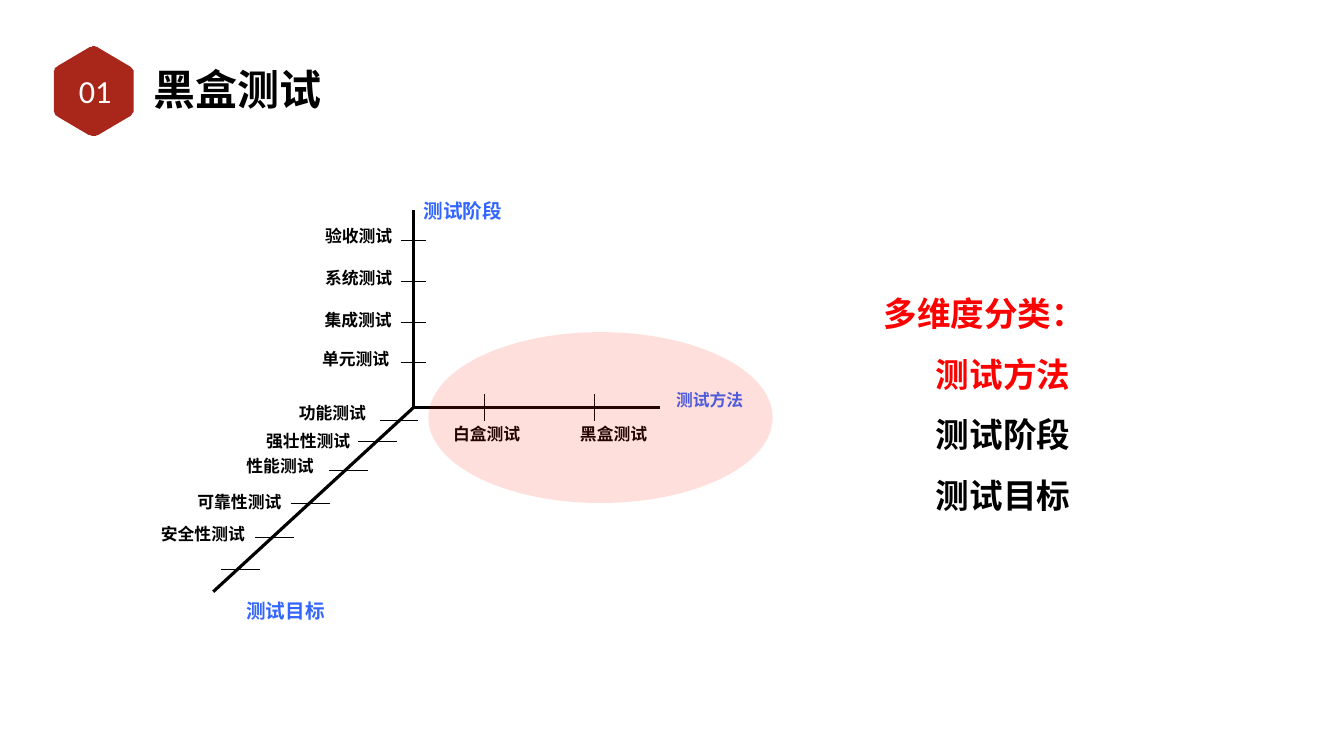
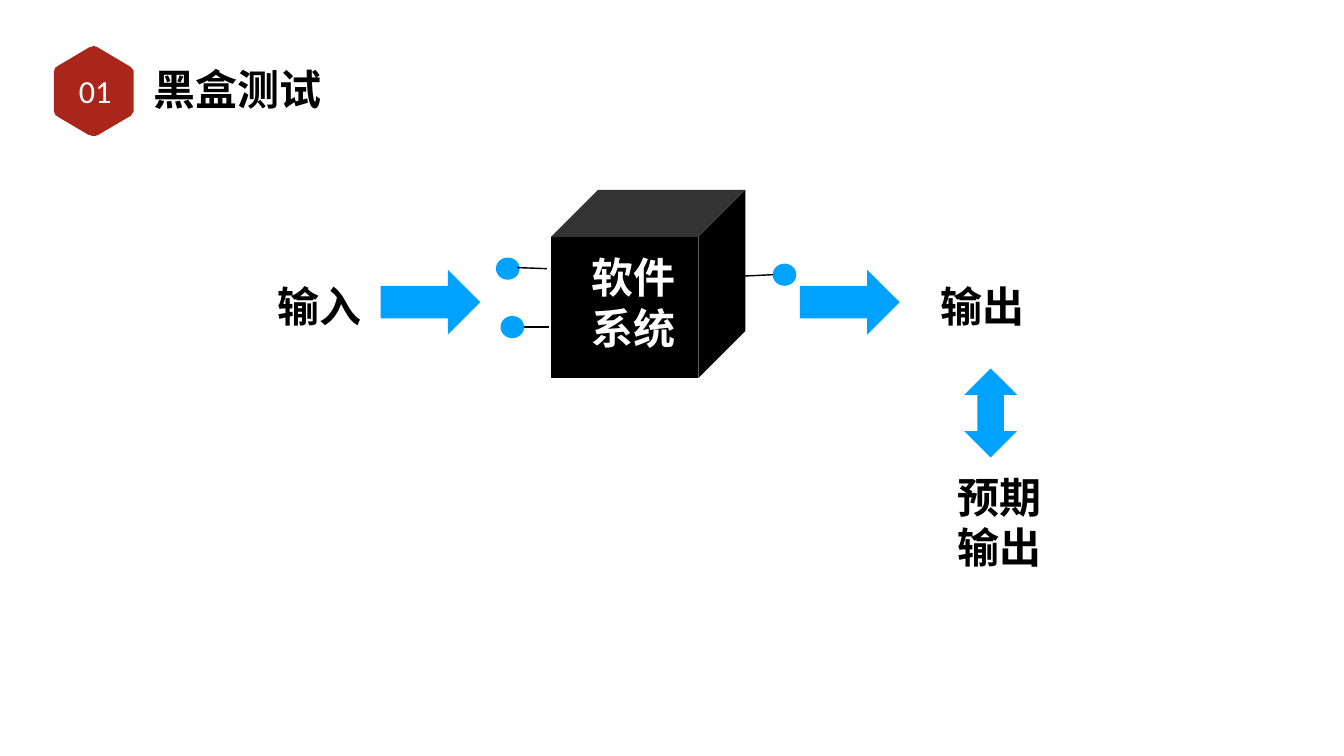
"""Build two slides on black-box testing: its place among test types, and its principle."""
import math

from lxml import etree
from pptx import Presentation
from pptx.dml.color import RGBColor
from pptx.enum.shapes import MSO_CONNECTOR, MSO_SHAPE
from pptx.enum.text import MSO_ANCHOR, MSO_AUTO_SIZE, PP_ALIGN
from pptx.oxml.ns import qn
from pptx.util import Pt

LEFT, CENTER, RIGHT = PP_ALIGN.LEFT, PP_ALIGN.CENTER, PP_ALIGN.RIGHT
TOP, MIDDLE = MSO_ANCHOR.TOP, MSO_ANCHOR.MIDDLE
STRAIGHT = MSO_CONNECTOR.STRAIGHT
FIT_TEXT, NO_FIT = MSO_AUTO_SIZE.SHAPE_TO_FIT_TEXT, MSO_AUTO_SIZE.NONE
OVAL, CUBE = MSO_SHAPE.OVAL, MSO_SHAPE.CUBE
RIGHT_ARROW, UP_DOWN_ARROW = MSO_SHAPE.RIGHT_ARROW, MSO_SHAPE.UP_DOWN_ARROW

CJK_FONT, NUMBER_FONT = "Noto Sans CJK SC", "Calibri"
BLACK, WHITE, RED = "000000", "FFFFFF", "FF0000"
BADGE_RED, AXIS_BLUE, FLOW_BLUE, HIGHLIGHT = "A8271A", "3366FF", "00A2FF", "FA1F00"
DEFAULT_INSETS = (7.2, 3.6)

SECTION, TITLE = "01", "黑盒测试"
BADGE_CENTER, BADGE_RADIUS, CORNER_CUT = (133.9, 130.3), 66, 0.115

ORIGIN = (590.4, 582.5)
AXIS_ENDS = [(590.4, 300.2), (304.6, 845.3), (943.2, 582.5)]
STAGE_TICKS = [(590.8, 343.4 + 58.3 * step) for step in range(4)]
GOAL_TICKS = [(569.9, 600.5), (539.6, 630.7), (497.9, 671.8),
              (443.2, 718.6), (392, 767.5), (343.8, 813.6)]
METHOD_TICKS = [(691.9, 582.5), (848.9, 582.5)]
TICK_GROUPS = [(STAGE_TICKS, 18.4, 0), (GOAL_TICKS, 27.7, 0), (METHOD_TICKS, 0, 19.4)]

AXIS_NAMES = [
    ("测试方法", 951.1, 553, 125.3, 24),
    ("测试目标", 248.4, 851.8, 319, 28),
    ("测试阶段", 512.6, 280.1, 297.4, 28),
]
TEST_TYPES = [
    ("验收测试", 438.5, 319, 147.6, CENTER, None),
    ("系统测试", 434.2, 378.7, 156.2, CENTER, None),
    ("集成测试", 395.3, 438.5, 171.4, RIGHT, None),
    ("单元测试", 434.2, 494.6, 147.6, CENTER, None),
    ("功能测试", 401.8, 574.6, 146.2, CENTER, 0.9),
    ("强壮性测试", 344.9, 611.3, 190.8, CENTER, None),
    ("性能测试", 326.2, 648, 147.6, CENTER, None),
    ("可靠性测试", 252, 698.4, 180, CENTER, None),
    ("安全性测试", 198, 744.5, 183.6, CENTER, None),
    ("白盒测试", 612, 601.9, 166.3, CENTER, None),
    ("黑盒测试", 793.4, 601.9, 166.3, CENTER, None),
]
METHOD_HALO = (612, 474.5, 491.8, 244.1)
DIMENSIONS = [("多维度分类：", RED, 0), ("测试方法", RED, 75),
              ("测试阶段", BLACK, 75), ("测试目标", BLACK, 75)]

FLOW_SHAPES = [
    (CUBE, 787, 271.4, 277.9, 268.6, BLACK),
    (RIGHT_ARROW, 1142.6, 385.2, 142.6, 92.9, FLOW_BLUE),
    (RIGHT_ARROW, 543.6, 385.2, 142.6, 92.9, FLOW_BLUE),
    (UP_DOWN_ARROW, 1377.4, 526.3, 75.6, 127.4, FLOW_BLUE),
]
FLOW_LABELS = [
    (["软件", "系统"], 840.2, 355, 153.4, WHITE),
    (["输入"], 391, 396.7, 80.6, BLACK),
    (["输出"], 1339.2, 396.7, 80.6, BLACK),
    (["预期", "输出"], 1363, 668.2, 153.4, BLACK),
]
PORT_SIZE = (33.8, 31.7)
PORTS = [
    ((708.5, 367.9), (738.7, 382.3), (781.2, 383.8)),
    ((715, 451.4), (748.8, 467.3), (784.1, 467.3)),
    ((1103.8, 376.6), (1057.7, 394.6), (1104.5, 392.4)),
]


def colour(code):
    """Turn a hex string into a colour."""
    return RGBColor.from_string(code)


def add_text(page, lines, area, size, code=BLACK, align=CENTER, font=CJK_FONT, bold=True,
             anchor=TOP, insets=DEFAULT_INSETS, spacing=None, wrap=True, grow=True):
    """Add a text box; each line is a string or (text, colour, indent)."""
    box = page.shapes.add_textbox(*map(Pt, area))
    frame = box.text_frame
    frame.word_wrap, frame.vertical_anchor = wrap, anchor
    frame.auto_size = FIT_TEXT if grow else NO_FIT
    frame.margin_left = frame.margin_right = Pt(insets[0])
    frame.margin_top = frame.margin_bottom = Pt(insets[1])
    for index, line in enumerate(lines):
        text, tint, indent = (line, code, 0) if isinstance(line, str) else line
        para = frame.paragraphs[0] if index == 0 else frame.add_paragraph()
        para.text, para.alignment = text, align
        if spacing:
            para.line_spacing = spacing
        if indent:
            para._p.get_or_add_pPr().set("marL", str(Pt(indent)))
        para.font.size, para.font.bold, para.font.name = Pt(size), bold, font
        para.font.color.rgb = colour(tint)
        etree.SubElement(para.font._rPr, qn("a:ea"), typeface=font)


def paint(shape, code, opacity=None):
    """Give a shape a flat fill, with no line and no shadow."""
    shape.shadow.inherit = False
    shape.line.fill.background()
    shape.fill.solid()
    shape.fill.fore_color.rgb = colour(code)
    if opacity:
        tint = shape._element.spPr.find(qn("a:solidFill"))[0]
        etree.SubElement(tint, qn("a:alpha"), val=str(opacity * 1000))


def add_shape(page, kind, area, code, opacity=None):
    """Add a flat preset shape."""
    paint(page.shapes.add_shape(kind, *map(Pt, area)), code, opacity)


def add_line(page, start, end, width):
    """Add a plain black line."""
    line = page.shapes.add_connector(STRAIGHT, *map(Pt, (*start, *end)))
    line.line.color.rgb = colour(BLACK)
    line.line.width = Pt(width)
    etree.SubElement(line._element.spPr, qn("a:effectLst"))


def badge_outline():
    """Return the points of a hexagon with rounded corners."""
    corners = [(BADGE_CENTER[0] + BADGE_RADIUS * math.sin(math.radians(turn)),
                BADGE_CENTER[1] - BADGE_RADIUS * math.cos(math.radians(turn)))
               for turn in range(0, 360, 60)]
    points = []
    for index, corner in enumerate(corners):
        before, after = corners[index - 1], corners[(index + 1) % 6]
        for step in range(9):
            ahead = step / 8
            pull_back = CORNER_CUT * (1 - ahead) ** 2
            pull_on = CORNER_CUT * ahead ** 2
            points.append(tuple(c + pull_back * (b - c) + pull_on * (a - c)
                                for b, c, a in zip(before, corner, after)))
    return points


def add_page(deck):
    """Add a blank page with the section badge and title."""
    page = deck.slides.add_slide(deck.slide_layouts[6])
    points = badge_outline()
    builder = page.shapes.build_freeform(*points[0], scale=Pt(1))
    builder.add_line_segments(points[1:], close=True)
    paint(builder.convert_to_shape(), BADGE_RED)
    add_text(page, [TITLE], (215.3, 85, 433.4, 82), 60, align=LEFT,
             anchor=MIDDLE, insets=(4.3, 4.3), grow=False)
    add_text(page, [SECTION], (73.4, 91.4, 125.3, 75.6), 46, WHITE, font=NUMBER_FONT,
             bold=False, anchor=MIDDLE, insets=(3.6, 3.6), grow=False)
    return page


def build_dimensions(deck):
    """Draw the three axes that classify tests."""
    page = add_page(deck)
    for end in AXIS_ENDS:
        add_line(page, ORIGIN, end, 4.5)
    for ticks, reach_x, reach_y in TICK_GROUPS:
        for x, y in ticks:
            add_line(page, (x - reach_x, y - reach_y), (x + reach_x, y + reach_y), 1)
    for text, left, top, width, size in AXIS_NAMES:
        add_text(page, [text], (left, top, width, size * 1.5), size, AXIS_BLUE)
    for text, left, top, width, align, spacing in TEST_TYPES:
        add_text(page, [text], (left, top, width, 36), 24, align=align, spacing=spacing)
    add_shape(page, OVAL, METHOD_HALO, HIGHLIGHT, opacity=14)
    add_text(page, DIMENSIONS, (1255, 386.6, 442, 356.4), 48, align=LEFT, spacing=1.5)


def build_principle(deck):
    """Draw the system as a black box with inputs and outputs."""
    page = add_page(deck)
    for kind, *area, code in FLOW_SHAPES:
        add_shape(page, kind, area, code)
    for lines, left, top, height, code in FLOW_LABELS:
        add_text(page, lines, (left, top, 129.6, height), 60, code, anchor=MIDDLE,
                 insets=(4.3, 4.3), wrap=False)
    for corner, start, end in PORTS:
        add_shape(page, OVAL, corner + PORT_SIZE, FLOW_BLUE)
        add_line(page, start, end, 2)


def main():
    """Build and save the deck."""
    deck = Presentation()
    deck.slide_width, deck.slide_height = Pt(1920), Pt(1080)
    build_dimensions(deck)
    build_principle(deck)
    deck.save("out.pptx")


if __name__ == "__main__":
    main()
